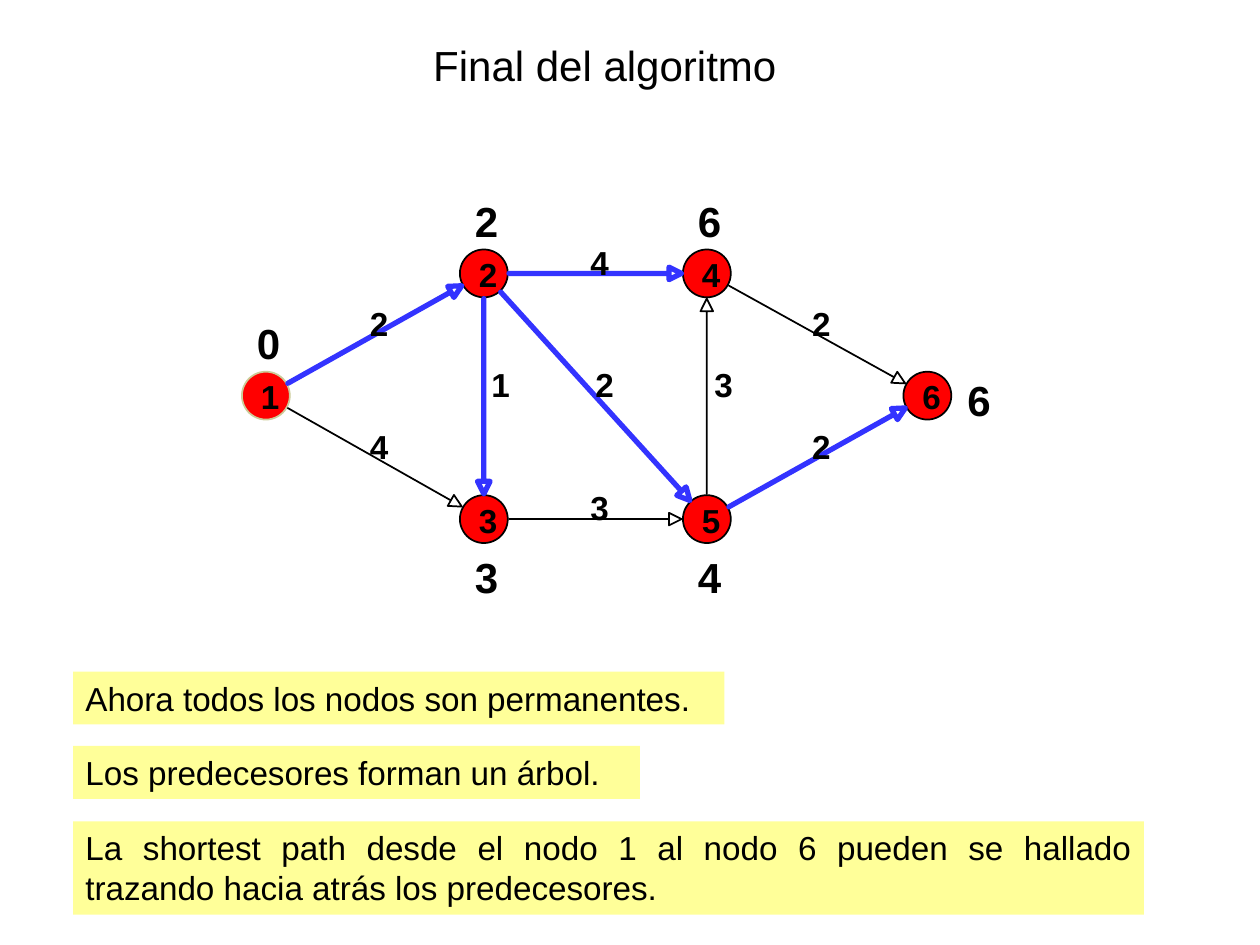
from dataclasses import dataclass
from math import hypot

from pptx import Presentation
from pptx.dml.color import RGBColor
from pptx.enum.shapes import MSO_SHAPE
from pptx.enum.text import MSO_ANCHOR, MSO_AUTO_SIZE, PP_ALIGN
from pptx.util import Inches, Pt

OVAL, RECTANGLE = MSO_SHAPE.OVAL, MSO_SHAPE.RECTANGLE
LEFT, CENTER, JUSTIFY = PP_ALIGN.LEFT, PP_ALIGN.CENTER, PP_ALIGN.JUSTIFY
TOP, BOTTOM = MSO_ANCHOR.TOP, MSO_ANCHOR.BOTTOM
NO_AUTOFIT = MSO_AUTO_SIZE.NONE


@dataclass(frozen=True)
class Theme:
    font: str = "Arial"
    text: RGBColor = RGBColor(0x00, 0x00, 0x00)
    node: RGBColor = RGBColor(0xFF, 0x00, 0x00)
    source_outline: RGBColor = RGBColor(0xCC, 0xCC, 0x99)
    tree: RGBColor = RGBColor(0x33, 0x33, 0xFF)
    note: RGBColor = RGBColor(0xFF, 0xFF, 0x99)
    large: Pt = Pt(24)
    body: Pt = Pt(19)
    thick: Pt = Pt(3)
    thin: Pt = Pt(1)


THEME = Theme()

GRAPH_BOX = (1.92, 1.5, 6.16, 3.33)
NODE_SIZE = 0.38
EDGE_GAP = 0.2
HEAD_LENGTH, HEAD_HALF_WIDTH = 0.1, 0.05

# Where a distance stands, measured from the centre of its node
ABOVE, BELOW, BESIDE = (-0.17, -0.67), (-0.17, 0.21), (0.22, -0.22)

# Node: centre within the graph box, distance, place of the distance
NODES = {
    1: ((0.19, 1.64), 0, ABOVE),
    2: ((1.92, 0.67), 2, ABOVE),
    3: ((1.92, 2.62), 3, BELOW),
    4: ((3.69, 0.67), 6, ABOVE),
    5: ((3.69, 2.62), 4, BELOW),
    6: ((5.44, 1.64), 6, BESIDE),
}

# From, to, weight, whether in the tree, sideways offset of the weight
EDGES = [
    (1, 2, 2, True, -0.04),
    (2, 4, 4, True, -0.04),
    (2, 5, 2, True, 0),
    (2, 3, 1, True, 0.06),
    (3, 5, 3, False, -0.04),
    (1, 3, 4, False, -0.04),
    (4, 6, 2, False, -0.04),
    (5, 4, 3, False, 0.06),
    (5, 6, 2, True, -0.04),
]

NOTES = [
    ("Ahora todos los nodos son permanentes.", (0.58, 5.33, 5.17, 0.42)),
    ("Los predecesores forman un árbol.", (0.58, 5.92, 4.5, 0.42)),
    ("La shortest path desde el nodo 1 al nodo 6 pueden se hallado trazando "
     "hacia atrás los predecesores.", (0.58, 6.52, 8.5, 0.74)),
]


def set_attributes(target, values):
    for name, value in values.items():
        setattr(target, name, value)


def write_text(shape, text, size, bold=False, alignment=LEFT, anchor=TOP,
               margins=(0.1, 0.05), wrap=True):
    horizontal, vertical = (Inches(margin) for margin in margins)
    frame = shape.text_frame
    frame.text = text
    set_attributes(frame, {
        "auto_size": NO_AUTOFIT, "word_wrap": wrap, "vertical_anchor": anchor,
        "margin_left": horizontal, "margin_right": horizontal,
        "margin_top": vertical, "margin_bottom": vertical,
    })
    paragraph = frame.paragraphs[0]
    paragraph.alignment = alignment
    font = paragraph.runs[0].font
    set_attributes(font, {"name": THEME.font, "size": size, "bold": bold})
    font.color.rgb = THEME.text


def add_title(slide, text, box):
    title = slide.shapes.title
    edges = zip(("left", "top", "width", "height"), map(Inches, box))
    set_attributes(title, dict(edges))
    write_text(title, text, THEME.large, alignment=CENTER, anchor=BOTTOM)


def add_number(slide, number, left, top):
    """Write the small bold number of a node or an edge."""
    box = slide.shapes.add_textbox(*map(Inches, (left, top, 0.15, 0.32)))
    write_text(box, str(number), THEME.body, bold=True, margins=(0, 0), wrap=False)


def add_node(slide, number, center, distance, place):
    x, y = center
    corner = (x - NODE_SIZE / 2, y - NODE_SIZE / 2)
    circle = slide.shapes.add_shape(
        OVAL, *map(Inches, (*corner, NODE_SIZE, NODE_SIZE)))
    circle.shadow.inherit = False
    circle.fill.solid()
    circle.fill.fore_color.rgb = THEME.node
    circle.line.width = THEME.thin
    circle.line.color.rgb = THEME.source_outline if number == 1 else THEME.text
    add_number(slide, number, x - 0.04, y - 0.15)

    label = slide.shapes.add_textbox(
        *map(Inches, (x + place[0], y + place[1], 0.5, 0.5)))
    write_text(label, str(distance), THEME.large, bold=True)


def add_arrow(slide, start_center, end_center, in_tree):
    """Draw a shaft with an open triangular head between two node rims."""
    (x1, y1), (x2, y2) = start_center, end_center
    length = hypot(x2 - x1, y2 - y1)
    ux, uy = (x2 - x1) / length, (y2 - y1) / length

    def point(along, across=0):
        return (Inches(x1 + along * ux - across * uy),
                Inches(y1 + along * uy + across * ux))

    tip = length - EDGE_GAP
    neck = tip - HEAD_LENGTH
    builder = slide.shapes.build_freeform(*point(EDGE_GAP))
    builder.add_line_segments([
        point(neck), point(neck, HEAD_HALF_WIDTH), point(tip),
        point(neck, -HEAD_HALF_WIDTH), point(neck),
    ], close=True)
    arrow = builder.convert_to_shape()
    arrow.shadow.inherit = False
    arrow.fill.background()
    arrow.line.color.rgb = THEME.tree if in_tree else THEME.text
    arrow.line.width = THEME.thick if in_tree else THEME.thin


def add_graph(slide, box):
    left, top = box[:2]
    centers = {number: (left + x, top + y)
               for number, ((x, y), _, _) in NODES.items()}
    for number, (_, distance, place) in NODES.items():
        add_node(slide, number, centers[number], distance, place)
    for start, end, weight, in_tree, offset in EDGES:
        (x1, y1), (x2, y2) = centers[start], centers[end]
        add_arrow(slide, centers[start], centers[end], in_tree)
        add_number(slide, weight, (x1 + x2) / 2 + offset, (y1 + y2) / 2 - 0.25)


def add_note(slide, text, box):
    note = slide.shapes.add_shape(RECTANGLE, *map(Inches, box))
    note.shadow.inherit = False
    note.fill.solid()
    note.fill.fore_color.rgb = THEME.note
    note.line.fill.background()
    write_text(note, text, THEME.body, alignment=JUSTIFY)


def main():
    presentation = Presentation()
    presentation.slide_width = Inches(10)
    presentation.slide_height = Inches(7.5)
    title_only = presentation.slide_layouts.get_by_name("Title Only")
    slide = presentation.slides.add_slide(title_only)
    add_title(slide, "Final del algoritmo", (0.55, 0.17, 8.5, 0.59))
    add_graph(slide, GRAPH_BOX)
    for text, box in NOTES:
        add_note(slide, text, box)
    presentation.save("out.pptx")


if __name__ == "__main__":
    main()
